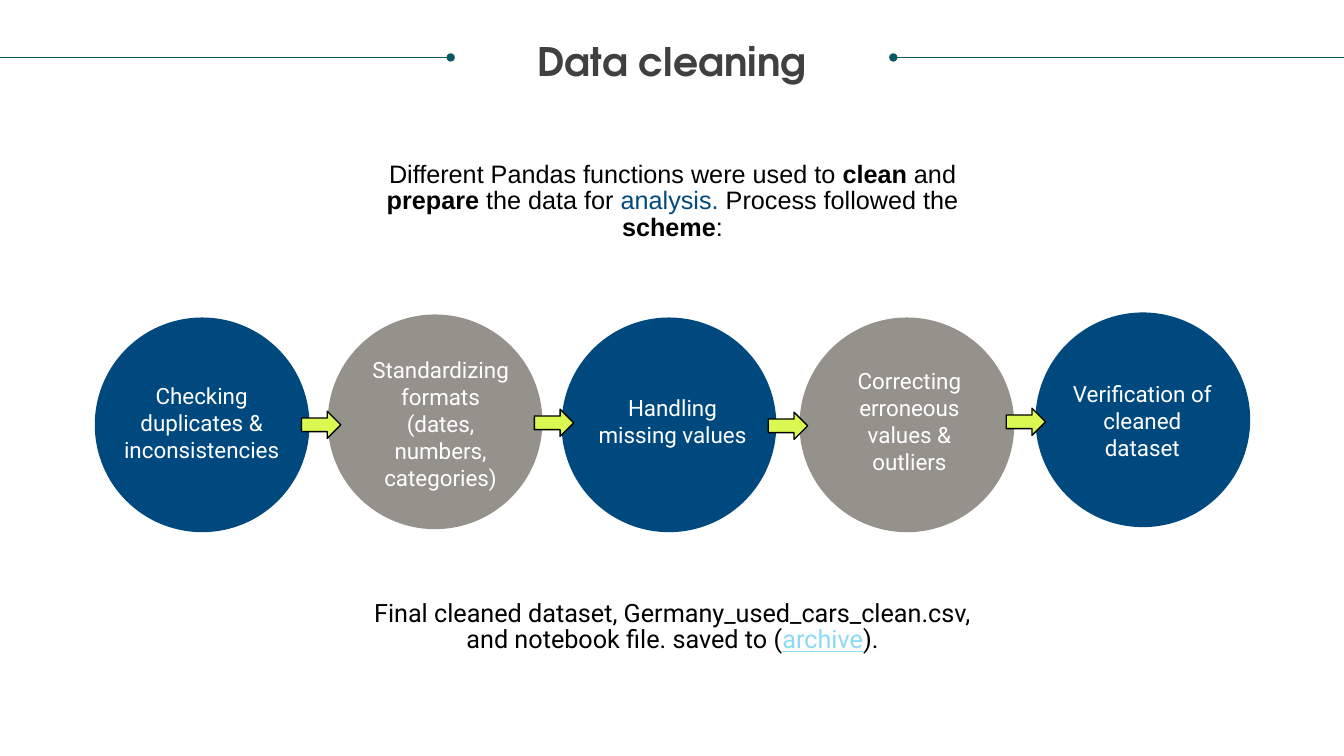
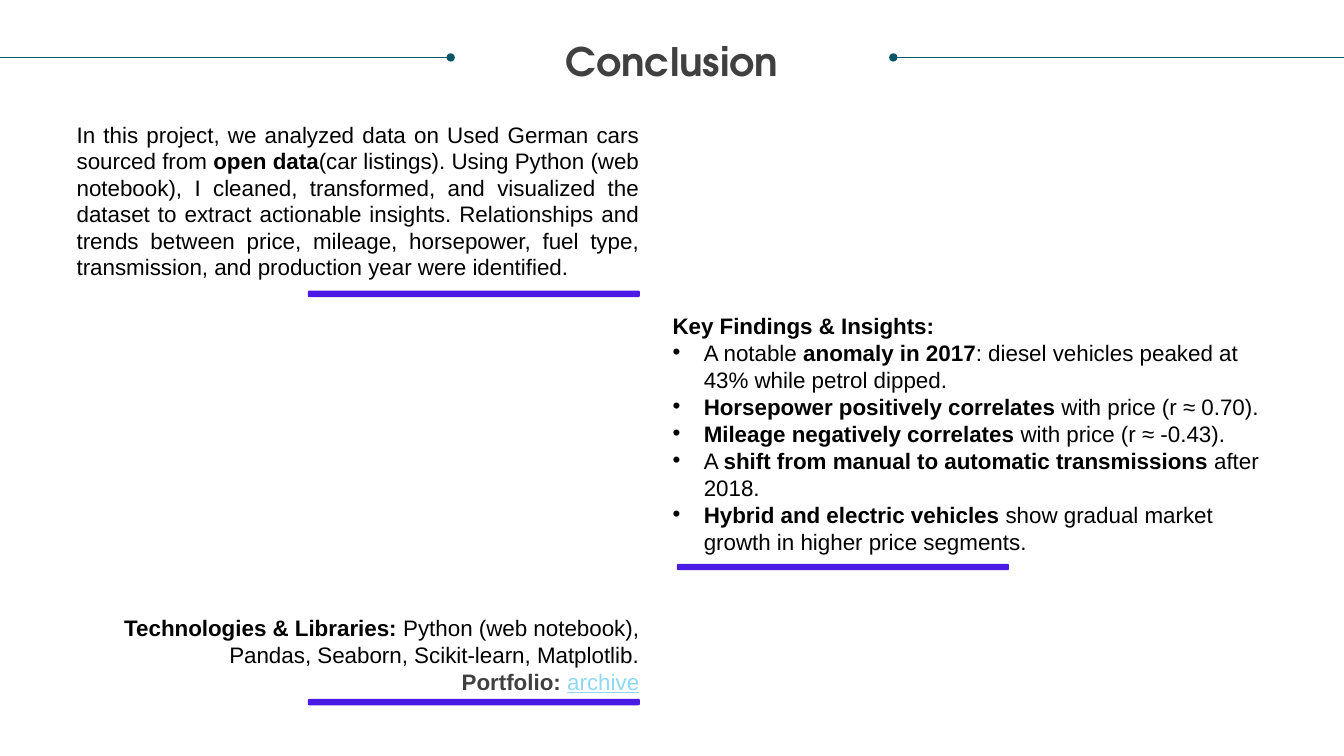
from dataclasses import dataclass
from typing import NamedTuple

from lxml.etree import SubElement
from pptx import Presentation
from pptx.dml.color import RGBColor
from pptx.enum.shapes import MSO_CONNECTOR, MSO_SHAPE
from pptx.enum.text import MSO_ANCHOR, PP_ALIGN
from pptx.oxml.ns import qn
from pptx.shapes.autoshape import Shape
from pptx.slide import Slide
from pptx.text.text import TextFrame, _Paragraph, _Run
from pptx.util import Inches, Pt


@dataclass(frozen=True)
class Theme:
    heading_font: str = "TeX Gyre Adventor"
    body_font: str = "Arial"
    label_font: str = "Roboto"
    heading: str = "404040"
    text: str = "000000"
    white: str = "FFFFFF"
    rule: str = "085764"
    blue: str = "00497F"
    grey: str = "95928C"
    lime: str = "D9F852"
    violet: str = "4A1BE4"
    link: str = "8ED9F6"
    heading_size: float = 28
    lead_size: float = 18
    body_size: float = 16
    tight_leading: float = 19
    loose_leading: float = 19.3


THEME = Theme()


class Box(NamedTuple):
    left: float
    top: float
    width: float
    height: float


class Span(NamedTuple):
    text: str
    bold: bool = False
    color: str = THEME.text
    underline: bool = False


class Line(NamedTuple):
    spans: list[Span]
    bullet: bool = False


@dataclass(frozen=True)
class Step:
    label: str
    left: float
    top: float
    fill: str
    label_box: Box


@dataclass(frozen=True)
class Passage:
    box: Box
    lines: list[Line]
    align: PP_ALIGN
    font: str = THEME.body_font
    size: float = THEME.body_size
    leading: float = THEME.tight_leading
    anchor: MSO_ANCHOR = MSO_ANCHOR.TOP


CIRCLE = 2.13
ARROW_WIDTH, ARROW_HEIGHT = 0.39, 0.27
ARROW_OVERLAP = 0.08
ARROW_TOPS = [4.08, 4.06, 4.09, 4.05]
BAR_WIDTH, BAR_HEIGHT = 3.28, 0.05
RULE_Y = 0.57
SLIDE_WIDTH, SLIDE_HEIGHT = 13.33, 7.5
BULLET_INDENT = 0.31

STEPS = [
    Step("Checking duplicates & inconsistencies", 0.94, 3.15, THEME.blue,
         Box(1.18, 3.79, 1.64, 0.81)),
    Step("Standardizing formats (dates, numbers, categories)", 3.25, 3.12,
         THEME.grey, Box(3.62, 3.66, 1.5, 1.08)),
    Step("Handling missing values", 5.57, 3.15, THEME.blue,
         Box(5.92, 3.91, 1.5, 0.54)),
    Step("Correcting erroneous values & outliers", 7.93, 3.15, THEME.grey,
         Box(8.27, 3.64, 1.5, 1.08)),
    Step("Verification of cleaned dataset", 10.27, 3.1, THEME.blue,
         Box(10.58, 3.9, 1.5, 0.54)),
]

CLEANING_PASSAGES = [
    Passage(
        Box(3.58, 1.6, 6.18, 0.8),
        [Line([
            Span("Different Pandas functions were used to "),
            Span("clean", True),
            Span(" and "),
            Span("prepare", True),
            Span(" the data for "),
            Span("analysis.", color=THEME.blue),
            Span(" Process followed the "),
            Span("scheme", True),
            Span(":"),
        ])],
        PP_ALIGN.CENTER, size=THEME.lead_size, anchor=MSO_ANCHOR.MIDDLE,
    ),
    Passage(
        Box(3.58, 5.96, 6.18, 0.53),
        [Line([
            Span("Final cleaned dataset, Germany_used_cars_clean.csv, "
                 "and notebook file. saved to ("),
            Span("archive", color=THEME.link, underline=True),
            Span(")."),
        ])],
        PP_ALIGN.CENTER, font=THEME.label_font, size=THEME.lead_size,
        anchor=MSO_ANCHOR.MIDDLE,
    ),
]

CONCLUSION_PASSAGES = [
    Passage(
        Box(0.76, 1.2, 5.58, 1.6),
        [Line([
            Span("In this project, we analyzed data on Used German cars sourced from "),
            Span("open data", True),
            Span("(car listings). Using Python (web notebook), I cleaned, transformed, "
                 "and visualized the dataset to extract actionable insights. "
                 "Relationships and trends between price, mileage, horsepower, fuel "
                 "type, transmission, and production year were identified."),
        ])],
        PP_ALIGN.JUSTIFY,
    ),
    Passage(
        Box(6.67, 3.09, 5.98, 2.42),
        [
            Line([Span("Key Findings & Insights:", True)]),
            Line([Span("A notable "), Span("anomaly in 2017", True),
                  Span(": diesel vehicles peaked at 43% while petrol dipped.")], True),
            Line([Span("Horsepower positively correlates", True),
                  Span(" with price (r ≈ 0.70).")], True),
            Line([Span("Mileage negatively correlates", True),
                  Span(" with price (r ≈ -0.43).")], True),
            Line([Span("A "), Span("shift from manual to automatic transmissions", True),
                  Span(" after 2018.")], True),
            Line([Span("Hybrid and electric vehicles", True),
                  Span(" show gradual market growth in higher price segments.")], True),
        ],
        PP_ALIGN.LEFT, leading=THEME.loose_leading,
    ),
    Passage(
        Box(0.76, 6.1, 5.58, 0.8),
        [
            Line([Span("Technologies & Libraries:", True),
                  Span(" Python (web notebook), Pandas, Seaborn, Scikit-learn, Matplotlib.")]),
            Line([Span("Portfolio: ", True, THEME.heading),
                  Span("archive", color=THEME.link, underline=True)]),
        ],
        PP_ALIGN.RIGHT,
    ),
]

UNDERLINES = [(3.06, 2.89), (6.72, 5.6), (3.06, 6.94)]


def emu(box: Box) -> list[Inches]:
    return [Inches(length) for length in box]


def style_run(run: _Run, font: str, size: float, color: str,
              bold: bool = False, underline: bool = False) -> None:
    run.font.name = font
    run.font.size = Pt(size)
    run.font.bold = bold
    run.font.underline = underline
    run.font.color.rgb = RGBColor.from_string(color)


def add_frame(slide: Slide, box: Box, anchor: MSO_ANCHOR) -> TextFrame:
    frame = slide.shapes.add_textbox(*emu(box)).text_frame
    frame.word_wrap = True
    frame.vertical_anchor = anchor
    frame.margin_left = frame.margin_right = 0
    frame.margin_top = frame.margin_bottom = 0
    return frame


def add_filled(slide: Slide, kind: MSO_SHAPE, box: Box, fill: str,
               outline: str | None = None) -> Shape:
    shape = slide.shapes.add_shape(kind, *emu(box))
    shape.shadow.inherit = False
    shape.fill.solid()
    shape.fill.fore_color.rgb = RGBColor.from_string(fill)
    if outline:
        shape.line.color.rgb = RGBColor.from_string(outline)
        shape.line.width = Pt(1)
    else:
        shape.line.fill.background()
    return shape


def add_rule(slide: Slide, start: float, end: float, dotted_end: str) -> None:
    rule = slide.shapes.add_connector(
        MSO_CONNECTOR.STRAIGHT, Inches(start), Inches(RULE_Y), Inches(end), Inches(RULE_Y))
    rule.line.color.rgb = RGBColor.from_string(THEME.rule)
    rule.line.width = Pt(0.5)
    properties = rule.element.spPr
    SubElement(properties.find(qn("a:ln")), qn(dotted_end), type="oval")
    SubElement(properties, qn("a:effectLst"))


def add_heading(slide: Slide, heading: str) -> None:
    frame = add_frame(slide, Box(0.25, 0.21, 12.83, 1.2), MSO_ANCHOR.TOP)
    frame.text = heading
    paragraph = frame.paragraphs[0]
    paragraph.alignment = PP_ALIGN.CENTER
    paragraph.line_spacing = 1.35
    style_run(paragraph.runs[0], THEME.heading_font, THEME.heading_size,
              THEME.heading, bold=True)
    add_rule(slide, 0, 4.47, "a:tailEnd")
    add_rule(slide, 8.86, SLIDE_WIDTH, "a:headEnd")


def add_bullet(paragraph: _Paragraph) -> None:
    properties = paragraph._p.get_or_add_pPr()
    properties.set("marL", str(Inches(BULLET_INDENT)))
    properties.set("indent", str(-Inches(BULLET_INDENT)))
    SubElement(properties, qn("a:buFont"), typeface=THEME.body_font)
    SubElement(properties, qn("a:buChar"), char="•")


def add_passage(slide: Slide, passage: Passage) -> None:
    frame = add_frame(slide, passage.box, passage.anchor)
    for index, line in enumerate(passage.lines):
        paragraph = frame.add_paragraph() if index else frame.paragraphs[0]
        if line.bullet:
            add_bullet(paragraph)
        paragraph.alignment = passage.align
        paragraph.line_spacing = Pt(passage.leading)
        for span in line.spans:
            run = paragraph.add_run()
            run.text = span.text
            style_run(run, passage.font, passage.size, span.color, span.bold, span.underline)


def add_step(slide: Slide, step: Step) -> None:
    add_filled(slide, MSO_SHAPE.OVAL, Box(step.left, step.top, CIRCLE, CIRCLE), step.fill)
    label = Line([Span(step.label, color=THEME.white)])
    add_passage(slide, Passage(step.label_box, [label], PP_ALIGN.CENTER, THEME.label_font,
                               leading=THEME.loose_leading, anchor=MSO_ANCHOR.MIDDLE))


def add_slide(deck: Presentation, heading: str, passages: list[Passage]) -> Slide:
    slide = deck.slides.add_slide(deck.slide_layouts[6])
    add_heading(slide, heading)
    for passage in passages:
        add_passage(slide, passage)
    return slide


def main() -> None:
    deck = Presentation()
    deck.slide_width, deck.slide_height = Inches(SLIDE_WIDTH), Inches(SLIDE_HEIGHT)

    cleaning = add_slide(deck, "Data cleaning", CLEANING_PASSAGES)
    for step in STEPS:
        add_step(cleaning, step)
    for step, top in zip(STEPS, ARROW_TOPS):
        left = step.left + CIRCLE - ARROW_OVERLAP
        add_filled(cleaning, MSO_SHAPE.RIGHT_ARROW,
                   Box(left, top, ARROW_WIDTH, ARROW_HEIGHT), THEME.lime, THEME.text)

    conclusion = add_slide(deck, "Conclusion", CONCLUSION_PASSAGES)
    for left, top in UNDERLINES:
        add_filled(conclusion, MSO_SHAPE.FLOWCHART_ALTERNATE_PROCESS,
                   Box(left, top, BAR_WIDTH, BAR_HEIGHT), THEME.violet, THEME.violet)

    deck.save("out.pptx")


if __name__ == "__main__":
    main()
